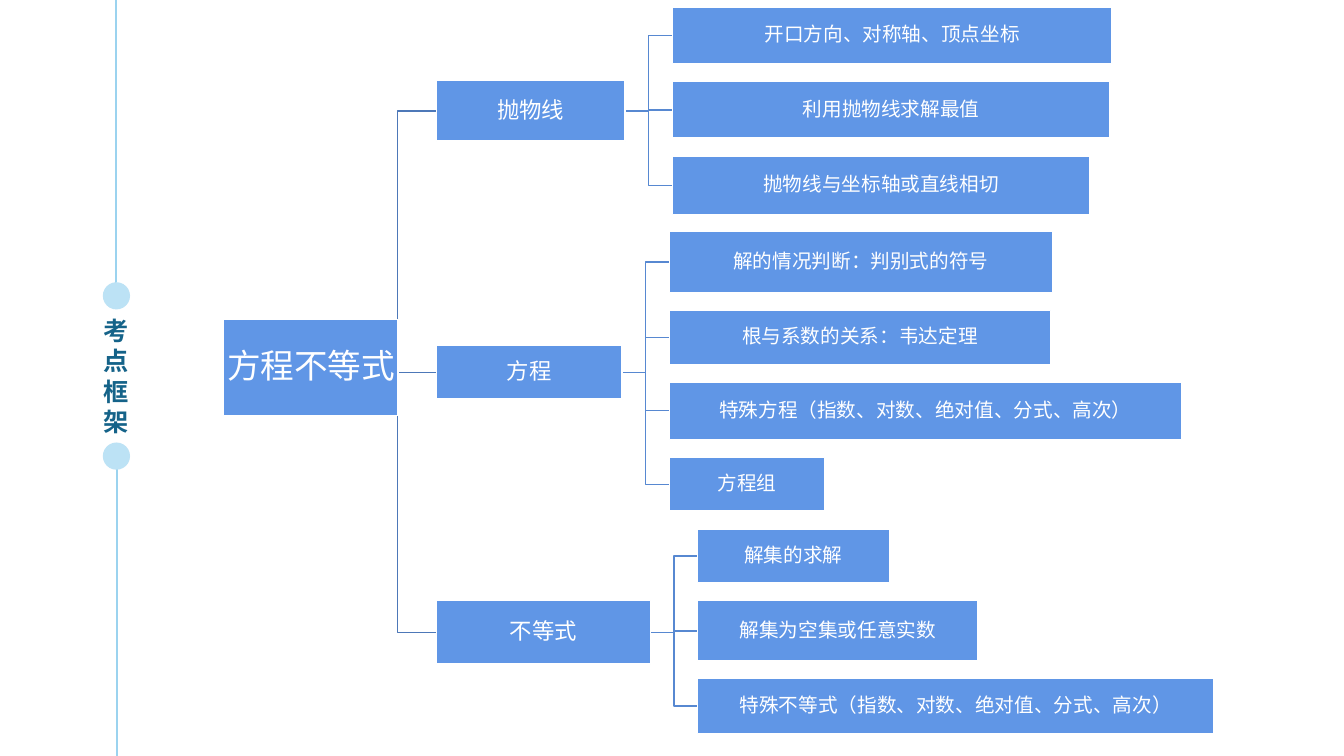
from pptx import Presentation
from pptx.dml.color import RGBColor
from pptx.enum.shapes import MSO_CONNECTOR, MSO_SHAPE
from pptx.enum.text import MSO_ANCHOR, MSO_AUTO_SIZE, PP_ALIGN
from pptx.oxml.ns import qn
from pptx.util import Inches, Pt
from lxml.etree import SubElement

# Content: each box is (text, top, width, height)
TITLE = "考点框架"
ROOT = ("方程不等式", 3.17, 1.73, 0.95)
TREE = [
    (("抛物线", 0.8, 1.87, 0.6), [
        ("开口方向、对称轴、顶点坐标", 0.07, 4.36, 0.56),
        ("利用抛物线求解最值", 0.81, 4.34, 0.56),
        ("抛物线与坐标轴或直线相切", 1.55, 4.14, 0.58),
    ]),
    (("方程", 3.43, 1.84, 0.53), [
        ("解的情况判断：判别式的符号", 2.3, 3.8, 0.6),
        ("根与系数的关系：韦达定理", 3.08, 3.78, 0.54),
        ("特殊方程（指数、对数、绝对值、分式、高次）", 3.79, 5.08, 0.57),
        ("方程组", 4.54, 1.54, 0.53),
    ]),
    (("不等式", 5.96, 2.12, 0.63), [
        ("解集的求解", 5.25, 1.9, 0.53),
        ("解集为空集或任意实数", 5.96, 2.78, 0.6),
        ("特殊不等式（指数、对数、绝对值、分式、高次）", 6.73, 5.12, 0.55),
    ]),
]
RAILS = [(1.15, 0, 2.81), (1.16, 4.61, 7.5)]
DOTS = [2.8, 4.39]
ROOT_X, BRANCH_X, STEM_X = 2.22, 4.33, 3.56
LEAF_GAP = 0.47

THEME = {
    "font": "Arial",
    "white": "FFFFFF", "box": "6096E6", "title": "156389",
    "rail": "9BD3EF", "dot": "BCE2F5", "stem": "4D78B8", "twig": "5788D1",
    "root_size": 24, "title_size": 18, "branch_size": 16, "leaf_size": 14,
}


def tint(name):
    return RGBColor.from_string(THEME[name])


def write(shape, text, size, color="white", bold=False, spacing=0.9,
          anchor=MSO_ANCHOR.MIDDLE, wrap=False, inset=(0.01, 0.01)):
    frame = shape.text_frame
    frame.word_wrap = wrap
    frame.vertical_anchor = anchor
    frame.margin_left = frame.margin_right = Inches(inset[0])
    frame.margin_top = frame.margin_bottom = Inches(inset[1])
    para = frame.paragraphs[0]
    para.alignment = PP_ALIGN.CENTER
    para.line_spacing = spacing
    run = para.add_run()
    run.text = text
    font = run.font
    font.name, font.size, font.bold = THEME["font"], Pt(THEME[size]), bold
    font.color.rgb = tint(color)


def draw(slide, kind, x, y, w, h, fill):
    shape = slide.shapes.add_shape(kind, *map(Inches, (x, y, w, h)))
    shape.shadow.inherit = False
    shape.fill.solid()
    shape.fill.fore_color.rgb = tint(fill)
    shape.line.fill.background()
    return shape


def add_box(slide, x, box, size):
    text, y, w, h = box
    shape = draw(slide, MSO_SHAPE.RECTANGLE, x, y, w, h, "box")
    shape.line.color.rgb = tint("white")
    shape.line.width = Pt(1)
    write(shape, text, size)


def middle(box):
    return box[1] + box[3] / 2


def link(slide, x1, y1, x2, y2, color):
    """Draw a bracket line that turns halfway between its ends."""
    turn = (x1 + x2) / 2
    points = [(turn, y1), (turn, y2), (x2, y2)]
    pen = slide.shapes.build_freeform(Inches(x1), Inches(y1))
    pen.add_line_segments([(Inches(x), Inches(y)) for x, y in points],
                          close=False)
    shape = pen.convert_to_shape()
    shape.shadow.inherit = False
    shape.fill.background()
    shape.line.color.rgb = tint(color)
    shape.line.width = Pt(1)


def add_side(slide):
    for x, top, end in RAILS:
        rail = slide.shapes.add_connector(
            MSO_CONNECTOR.STRAIGHT, *map(Inches, (x, top, x, end)))
        rail.line.color.rgb = tint("rail")
        rail.line.width = Pt(1.25)
        SubElement(rail._element.spPr, qn("a:effectLst"))
    for y in DOTS:
        draw(slide, MSO_SHAPE.OVAL, 1.02, y, 0.27, 0.27, "dot")
    title = slide.shapes.title
    title.left, title.top = Inches(0.84), Inches(3.08)
    title.width, title.height = Inches(0.63), Inches(1.31)
    write(title, TITLE, "title_size", color="title", bold=True, spacing=1.0,
          anchor=MSO_ANCHOR.TOP, wrap=True, inset=(0.1, 0.05))
    title.text_frame.auto_size = MSO_AUTO_SIZE.SHAPE_TO_FIT_TEXT


def add_tree(slide):
    boxes = [(ROOT_X, ROOT, "root_size")]
    for branch, leaves in TREE:
        y = middle(branch)
        end = BRANCH_X + branch[2]
        leaf_x = end + LEAF_GAP
        link(slide, STEM_X, middle(ROOT), BRANCH_X, y, "stem")
        boxes.append((BRANCH_X, branch, "branch_size"))
        for leaf in leaves:
            link(slide, end, y, leaf_x, middle(leaf), "twig")
            boxes.append((leaf_x, leaf, "leaf_size"))
    for x, box, size in boxes:
        add_box(slide, x, box, size)


def main():
    deck = Presentation()
    deck.slide_width, deck.slide_height = Inches(13.33), Inches(7.5)
    slide = deck.slides.add_slide(deck.slide_layouts[5])
    add_side(slide)
    add_tree(slide)
    deck.save("out.pptx")


if __name__ == "__main__":
    main()
